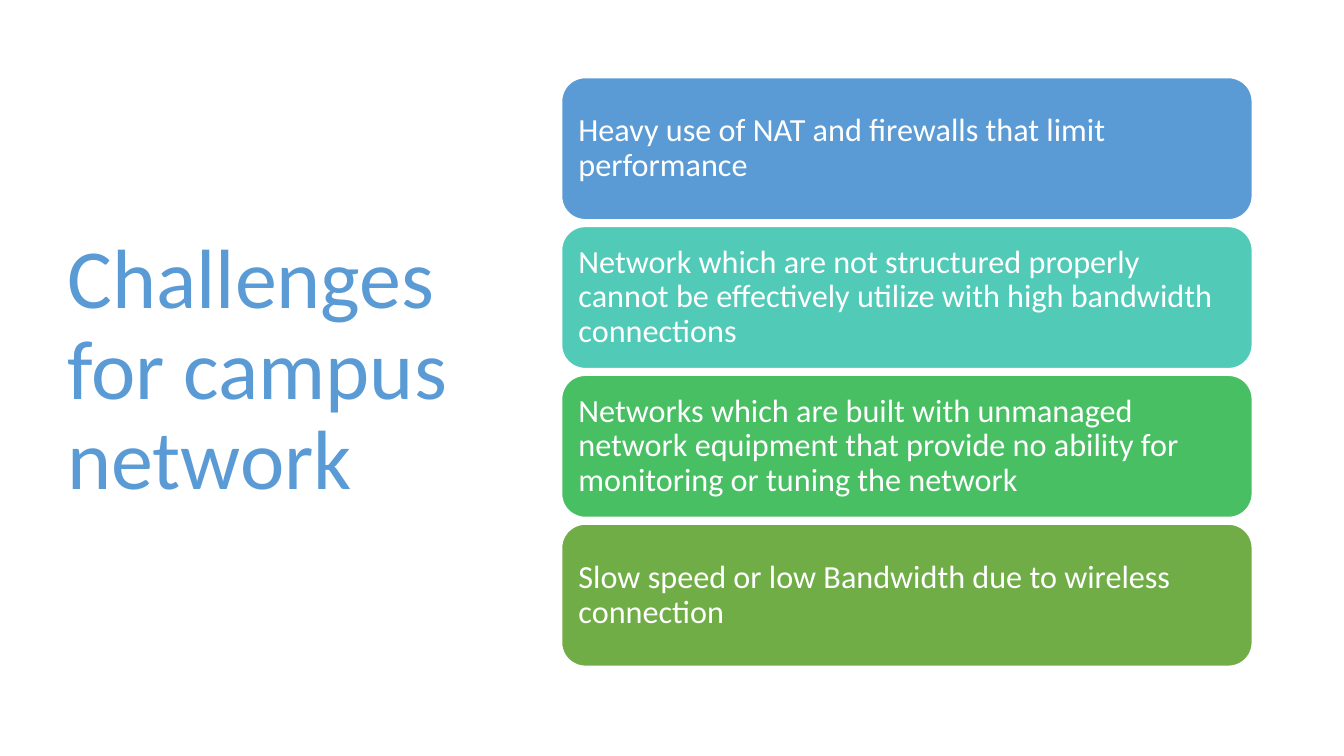
from pptx import Presentation
from pptx.dml.color import RGBColor
from pptx.enum.shapes import MSO_SHAPE
from pptx.enum.text import MSO_ANCHOR, PP_ALIGN
from pptx.util import Inches, Pt

ROUNDED = MSO_SHAPE.ROUNDED_RECTANGLE
MIDDLE = MSO_ANCHOR.MIDDLE
LEFT = PP_ALIGN.LEFT

WHITE = RGBColor(0xFF, 0xFF, 0xFF)
BLUE = RGBColor(0x5B, 0x9B, 0xD5)
TEAL = RGBColor(0x52, 0xCA, 0xB8)
GREEN = RGBColor(0x49, 0xBF, 0x64)
OLIVE = RGBColor(0x70, 0xAD, 0x47)

CHALLENGES = [
    ("Heavy use of NAT and firewalls that limit performance", BLUE),
    ("Network which are not structured properly cannot be effectively "
     "utilize with high bandwidth connections", TEAL),
    ("Networks which are built with unmanaged network equipment that "
     "provide no ability for monitoring or tuning the network", GREEN),
    ("Slow speed or low Bandwidth due to wireless connection", OLIVE),
]
FIRST_TOP, LAST_TOP = 0.77, 5.2
STEP = (LAST_TOP - FIRST_TOP) / (len(CHALLENGES) - 1)


class Deck:
    """Hold the text style and the slide being built."""

    def __init__(self, slide, font="Calibri", line_spacing=0.9):
        self.slide = slide
        self.font = font
        self.line_spacing = line_spacing

    def add_text(self, sp, text, size, color):
        tf = sp.text_frame
        tf.word_wrap = True
        tf.vertical_anchor = MIDDLE
        tf.margin_left = tf.margin_right = Inches(0.1)
        tf.margin_top = tf.margin_bottom = Inches(0.1)
        p = tf.paragraphs[0]
        p.alignment = LEFT
        p.line_spacing = self.line_spacing
        r = p.add_run()
        r.text = text
        r.font.name = self.font
        r.font.size = Pt(size)
        r.font.color.rgb = color

    def title(self, text, left, top, width, height):
        sp = self.slide.shapes.add_textbox(
            Inches(left), Inches(top), Inches(width), Inches(height))
        self.add_text(sp, text, 60, BLUE)

    def card(self, text, fill, left, top, width, height):
        sp = self.slide.shapes.add_shape(
            ROUNDED, Inches(left), Inches(top), Inches(width), Inches(height))
        sp.shadow.inherit = False
        sp.fill.solid()
        sp.fill.fore_color.rgb = fill
        sp.line.color.rgb = WHITE
        sp.line.width = Pt(1)
        self.add_text(sp, text, 23, WHITE)


prs = Presentation()
prs.slide_width = Inches(13.33)
prs.slide_height = Inches(7.5)
s = prs.slides.add_slide(prs.slide_layouts[6])

deck = Deck(s)
deck.title("Challenges for campus network", 0.57, 0.68, 4.16, 6.02)
for i, (text, fill) in enumerate(CHALLENGES):
    deck.card(text, fill, 5.57, FIRST_TOP + i * STEP, 6.85, 1.41)

prs.save("out.pptx")
